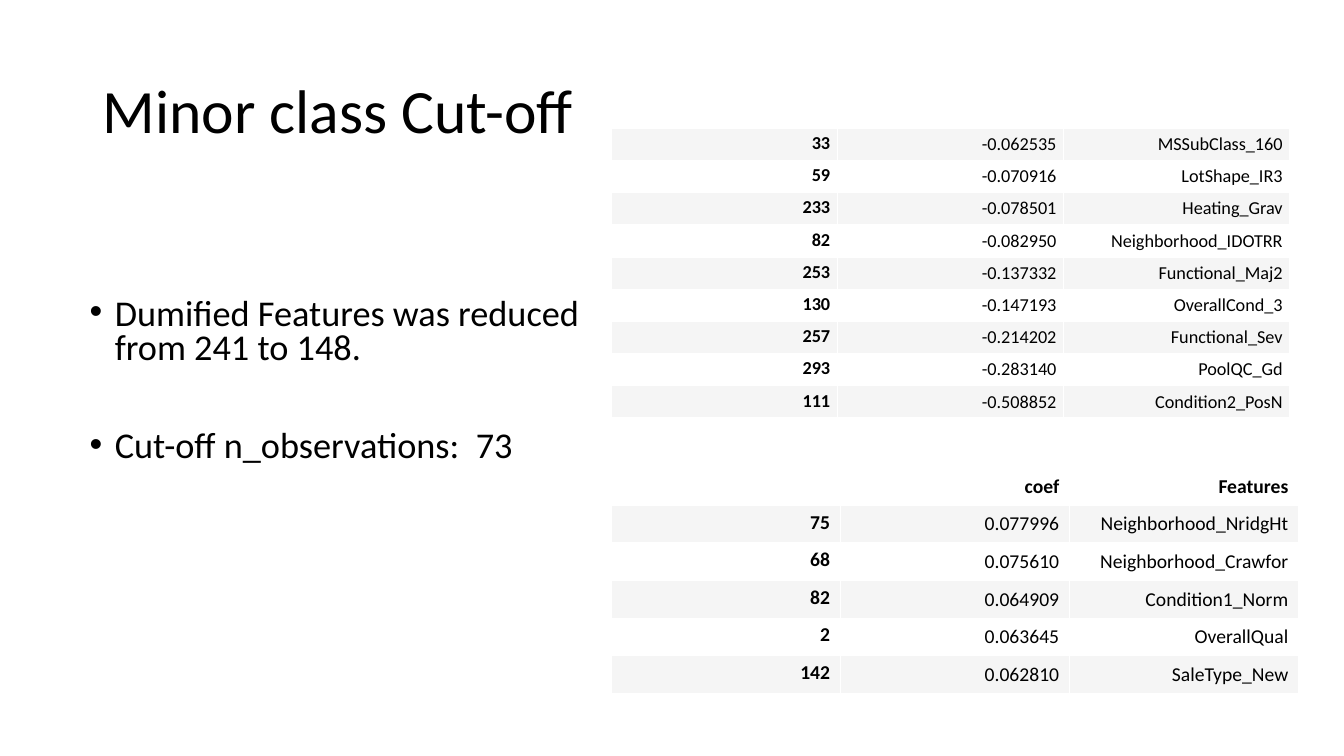
import pptx
import pptx.util
import pptx.dml.color
import pptx.enum.text
from lxml import etree

BLACK = pptx.dml.color.RGBColor(0x00, 0x00, 0x00)
WHITE = pptx.dml.color.RGBColor(0xFF, 0xFF, 0xFF)
GREY = pptx.dml.color.RGBColor(0xF5, 0xF5, 0xF5)
ALIGN = pptx.enum.text.PP_ALIGN
ANCHOR = pptx.enum.text.MSO_ANCHOR
Inches = pptx.util.Inches
Pt = pptx.util.Pt

deck = pptx.Presentation()
deck.slide_width = Inches(13.33)
deck.slide_height = Inches(7.5)
slide = deck.slides.add_slide(deck.slide_layouts[6])


def style(para, size, bold=False):
    para.font.name = "Calibri"
    para.font.size = Pt(size)
    para.font.bold = bold
    para.font.color.rgb = BLACK


def add_box(left, top, width, height):
    box = slide.shapes.add_textbox(
        Inches(left), Inches(top), Inches(width), Inches(height))
    box.text_frame.word_wrap = True
    return box.text_frame


# Title
title = add_box(0.92, 0.4, 11.5, 1.45)
title.vertical_anchor = ANCHOR.MIDDLE
para = title.paragraphs[0]
para.text = "Minor class Cut-off"
para.line_spacing = 0.9
style(para, 44)

# Bullets
body = add_box(0.79, 2.91, 5.28, 1.89)
body.text = ("Dumified Features was reduced from 241 to 148.\n"
             "Cut-off n_observations:  73")
for para, gap in zip(body.paragraphs, (0, 45)):
    para.line_spacing = 0.8
    para.space_before = Pt(gap)
    props = para._p.get_or_add_pPr()
    props.set("marL", str(Inches(0.25)))
    props.set("indent", str(-Inches(0.25)))
    space = props.nsmap["a"]
    etree.SubElement(props, f"{{{space}}}buFont", typeface="Arial")
    etree.SubElement(props, f"{{{space}}}buChar", char="•")
    style(para, 25.9)

# Coefficient tables: index, coef, feature
low = [
    ("33", "-0.062535", "MSSubClass_160"),
    ("59", "-0.070916", "LotShape_IR3"),
    ("233", "-0.078501", "Heating_Grav"),
    ("82", "-0.082950", "Neighborhood_IDOTRR"),
    ("253", "-0.137332", "Functional_Maj2"),
    ("130", "-0.147193", "OverallCond_3"),
    ("257", "-0.214202", "Functional_Sev"),
    ("293", "-0.283140", "PoolQC_Gd"),
    ("111", "-0.508852", "Condition2_PosN"),
]
high = [
    ("", "coef", "Features"),
    ("75", "0.077996", "Neighborhood_NridgHt"),
    ("68", "0.075610", "Neighborhood_Crawfor"),
    ("82", "0.064909", "Condition1_Norm"),
    ("2", "0.063645", "OverallQual"),
    ("142", "0.062810", "SaleType_New"),
]

# Rows, top, width, height, text size, side and end margins, header, fills
tables = [
    (low, 1.27, 6.73, 2.88, 13, 0.07, 0.04, False, (GREY, WHITE)),
    (high, 4.64, 6.82, 2.24, 14, 0.1, 0.05, True, (WHITE, GREY)),
]
for rows, top, width, height, size, side, end, head, fills in tables:
    grid = slide.shapes.add_table(
        len(rows), 3, Inches(6.06), Inches(top),
        Inches(width), Inches(height)).table
    grid.first_row = head
    grid.horz_banding = False
    for r, row in enumerate(rows):
        for c, text in enumerate(row):
            cell = grid.cell(r, c)
            cell.fill.solid()
            cell.fill.fore_color.rgb = fills[r % 2]
            cell.margin_left = cell.margin_right = Inches(side)
            cell.margin_top = cell.margin_bottom = Inches(end)
            cell.vertical_anchor = ANCHOR.MIDDLE if c else ANCHOR.TOP
            para = cell.text_frame.paragraphs[0]
            if text:
                para.text = text
            para.alignment = ALIGN.RIGHT
            style(para, size, bold=c == 0 or (head and r == 0))

deck.save("out.pptx")
